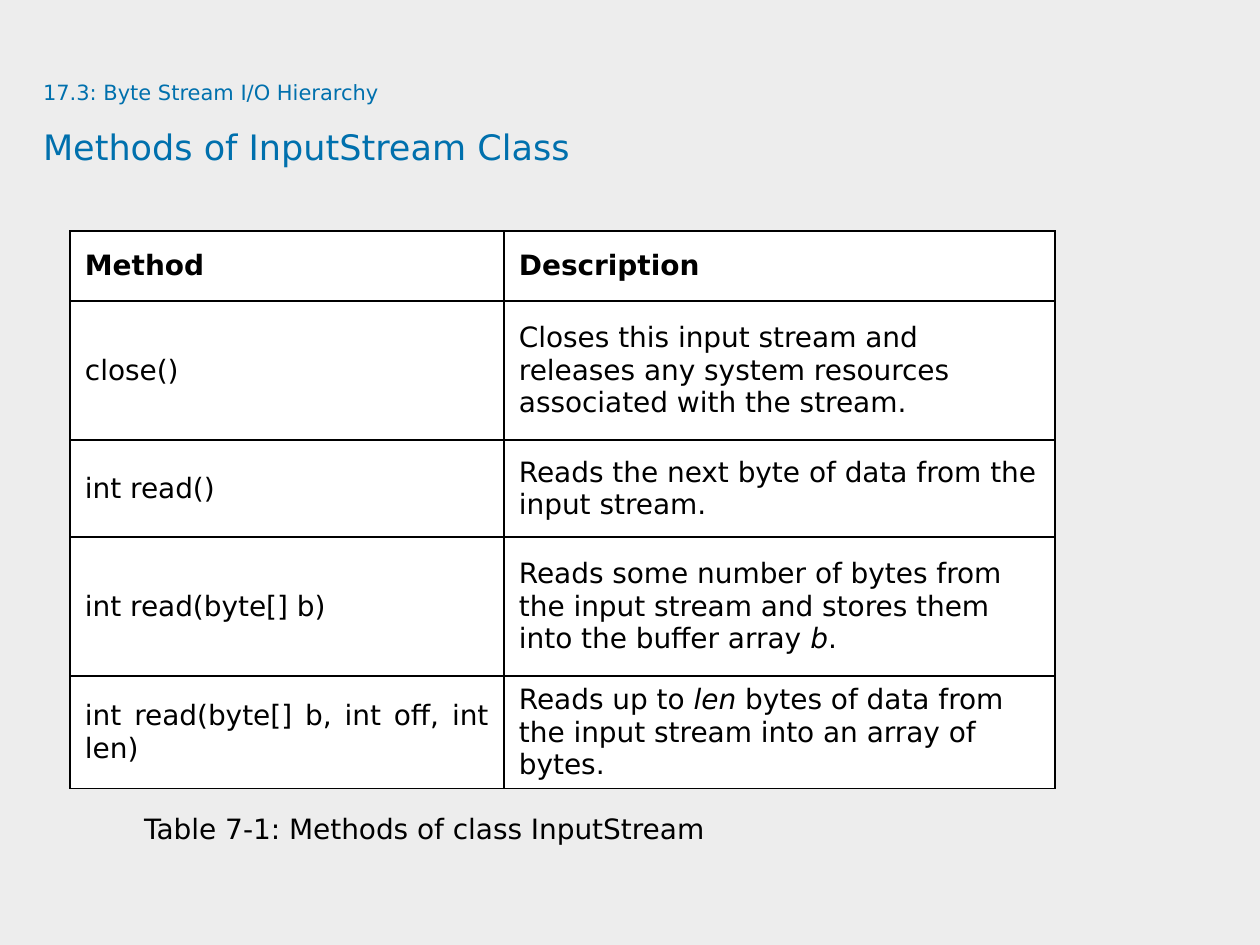
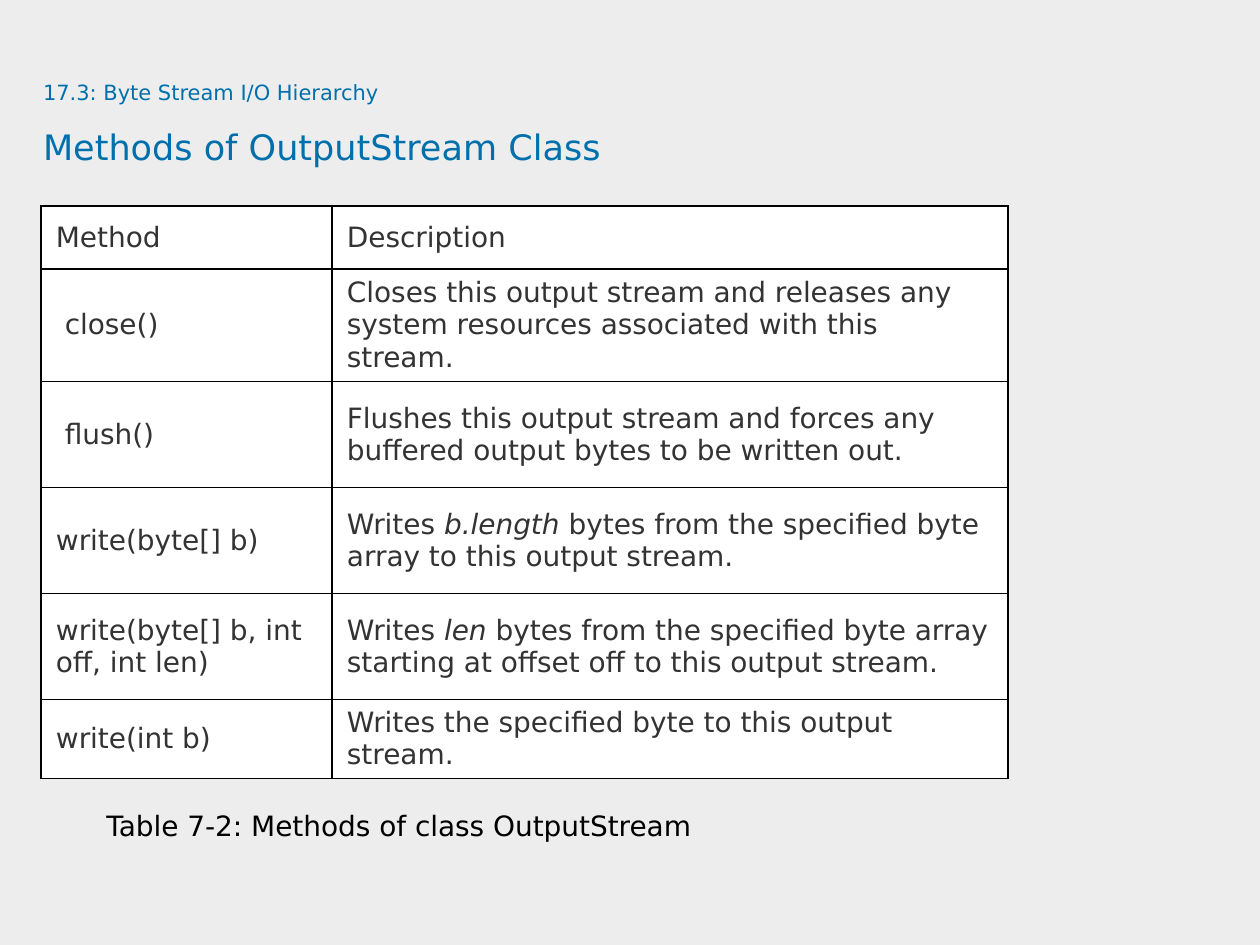
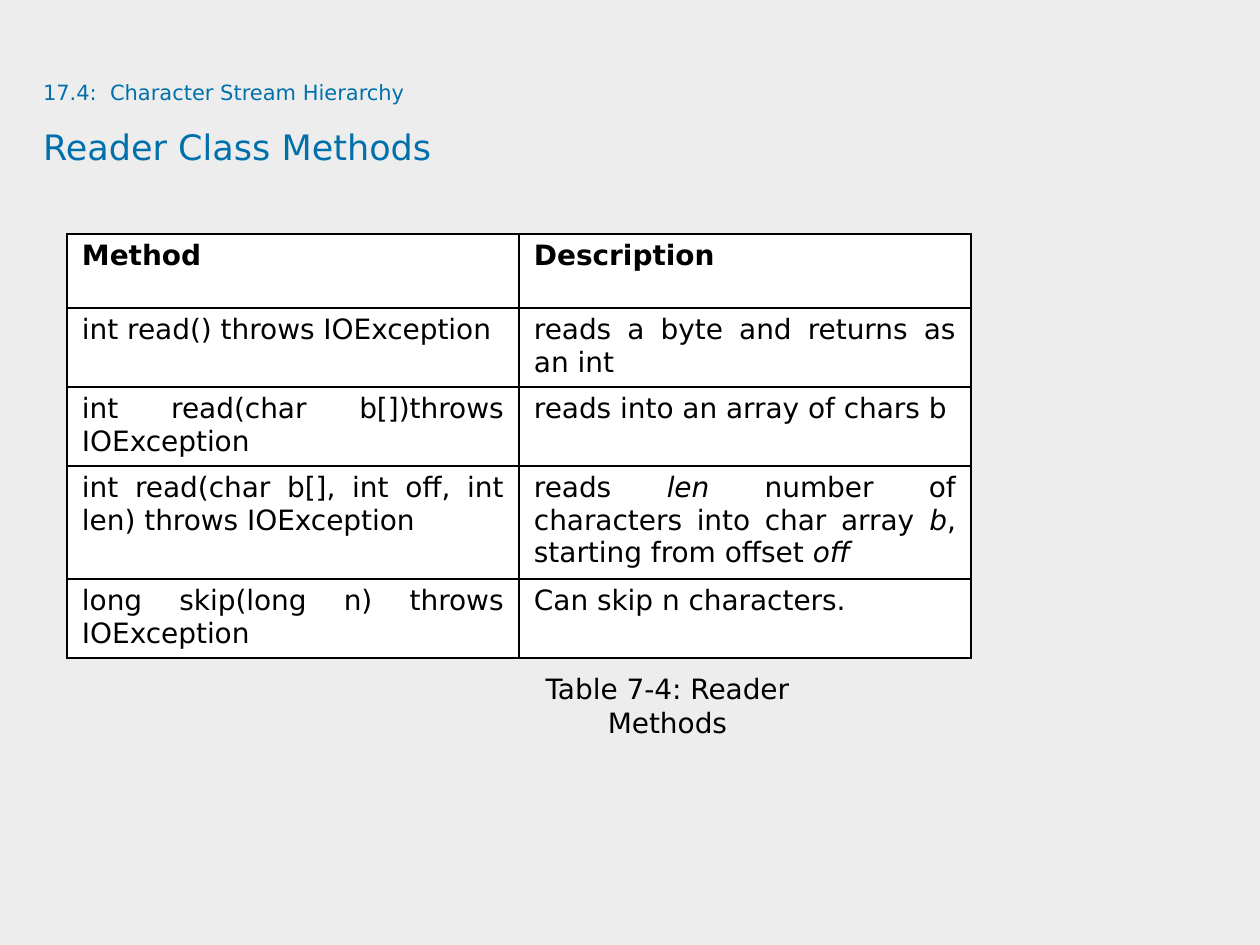
from itertools import product
from lxml import etree
from pptx import Presentation
from pptx import util as u
from pptx.dml.color import RGBColor
from pptx.enum import text as t
from pptx.oxml import ns

PX = 914400 // 126
FONT = "DejaVu Sans"
BACK, BLUE, BLACK, GREY, WHITE = "EDEDED", "0070AD", "000000", "333333", "FFFFFF"
LEFT, CENTER, FULL = t.PP_ALIGN.LEFT, t.PP_ALIGN.CENTER, t.PP_ALIGN.JUSTIFY
TOP, MIDDLE = t.MSO_ANCHOR.TOP, t.MSO_ANCHOR.MIDDLE

INPUT = [
    ("Method", "Description"),
    ("close()", "Closes this input stream and releases any system resources "
                "associated with the stream."),
    ("int read()", "Reads the next byte of data from the input stream."),
    ("int read(byte[] b)", "Reads some number of bytes from the input stream "
                           "and stores them into the buffer array *b*."),
    ("int read(byte[] b, int off, int len)",
     "Reads up to *len* bytes of data from the input stream into an array of bytes."),
]
OUTPUT = [
    ("Method", "Description"),
    (" close()", "Closes this output stream and releases any system resources "
                 "associated with this stream."),
    (" flush()", "Flushes this output stream and forces any buffered output "
                 "bytes to be written out."),
    ("write(byte[] b)", "Writes *b.length* bytes from the specified byte array "
                        "to this output stream."),
    ("write(byte[] b, int off, int len)",
     "Writes *len* bytes from the specified byte array starting at offset off "
     "to this output stream."),
    ("write(int b)", "Writes the specified byte to this output stream."),
]
READER = [
    ("Method", "Description"),
    ("int read() throws IOException", "reads a byte and returns as an int"),
    ("int read(char b[])throws IOException", "reads into an array of chars b"),
    ("int read(char b[], int off, int len) throws IOException",
     "reads *len* number of characters into char array *b*, starting from offset *off*"),
    ("long skip(long n) throws IOException", "Can skip n characters."),
]


def px(*sizes):
    """Turn pixel lengths into EMU."""
    return [n * PX for n in sizes]


def color(code):
    """Turn a hex string into a colour."""
    return RGBColor.from_string(code)


def style(run, size, code, bold=False, slant=False):
    """Format one run."""
    font = run.font
    font.name, font.size = FONT, u.Pt(size)
    font.bold, font.italic = bold, slant
    font.color.rgb = color(code)


def add_box(slide, place, words):
    """Add a wrapped, vertically centred text box and return its frame."""
    frame = slide.shapes.add_textbox(*px(*place)).text_frame
    frame.word_wrap = True
    frame.vertical_anchor = MIDDLE
    frame.text = words
    return frame


def add_title(slide, topic, title):
    """Add the topic line and the title below it."""
    frame = add_box(slide, (43, 58, 1145, 118), f"{topic}\n{title}")
    frame.margin_left = frame.margin_right = frame.margin_top = frame.margin_bottom = 0
    for para, size in zip(frame.paragraphs, (12, 20)):
        para.line_spacing = 1.5
        style(para.runs[0], size, BLUE)


def add_note(slide, place, words, align=LEFT):
    """Add the caption of a table."""
    para = add_box(slide, place, words).paragraphs[0]
    para.alignment = align
    style(para.runs[0], 16, BLACK)


def add_edges(cell):
    """Draw a thin black line on each side of a cell."""
    props = cell._tc.get_or_add_tcPr()
    for i, side in enumerate("LRTB"):
        line = etree.Element(ns.qn(f"a:ln{side}"), w=str(u.Pt(1)))
        fill = etree.SubElement(line, ns.qn("a:solidFill"))
        etree.SubElement(fill, ns.qn("a:srgbClr"), val=BLACK)
        props.insert(i, line)


def fill_cell(cell, words, code, bold, align, anchor):
    """Write a cell, with the parts between asterisks in italics."""
    cell.fill.solid()
    cell.fill.fore_color.rgb = color(WHITE)
    cell.vertical_anchor = anchor
    cell.margin_left = cell.margin_right = 15 * PX
    cell.margin_top = cell.margin_bottom = 6 * PX
    add_edges(cell)
    para = cell.text_frame.paragraphs[0]
    para.alignment = align
    for i, part in enumerate(words.split("*")):
        if part:
            run = para.add_run()
            run.text = part
            style(run, 16, code, bold, i % 2 == 1)


def add_grid(slide, spot, cols, rows, data, aligns, code=BLACK, bold=True, anchor=MIDDLE):
    """Add a table with a justified head row and one alignment per column."""
    place = px(*spot, sum(cols), sum(rows))
    table = slide.shapes.add_table(len(rows), len(cols), *place).table
    table.first_row = table.horz_banding = False
    for col, wide in zip(table.columns, px(*cols)):
        col.width = wide
    for row, high in zip(table.rows, px(*rows)):
        row.height = high
    for r, c in product(range(len(rows)), range(len(cols))):
        head = r == 0
        fill_cell(table.cell(r, c), data[r][c], code, bold and head,
                  FULL if head else aligns[c], anchor)


def main():
    """Build the three slides."""
    deck = Presentation()
    deck.slide_width, deck.slide_height = px(1260, 945)
    back = deck.slide_master.background.fill
    back.solid()
    back.fore_color.rgb = color(BACK)
    blank = deck.slide_layouts[6]
    bytes_topic = "17.3: Byte Stream I/O Hierarchy"

    slide = deck.slides.add_slide(blank)
    add_title(slide, bytes_topic, "Methods of InputStream Class")
    add_grid(slide, (70, 231), (434, 551), (70, 139, 97, 139, 97), INPUT, (FULL, LEFT))
    add_note(slide, (123, 803, 966, 50), " Table 7‑1: Methods of class InputStream")

    slide = deck.slides.add_slide(blank)
    add_title(slide, bytes_topic, "Methods of OutputStream Class")
    add_grid(slide, (41, 206), (291, 676), (63, 106, 106, 106, 106, 63), OUTPUT,
             (LEFT, LEFT), GREY, False)
    add_note(slide, (94, 800, 966, 50), "Table 7‑2: Methods of class OutputStream")

    slide = deck.slides.add_slide(blank)
    add_title(slide, "17.4:  Character Stream Hierarchy", "Reader Class Methods")
    add_grid(slide, (67, 234), (452, 452), (74, 64, 78, 105, 73), READER,
             (FULL, FULL), anchor=TOP)
    add_note(slide, (484, 682, 367, 47), "Table 7‑4: Reader Methods", CENTER)

    deck.save("out.pptx")


if __name__ == "__main__":
    main()
